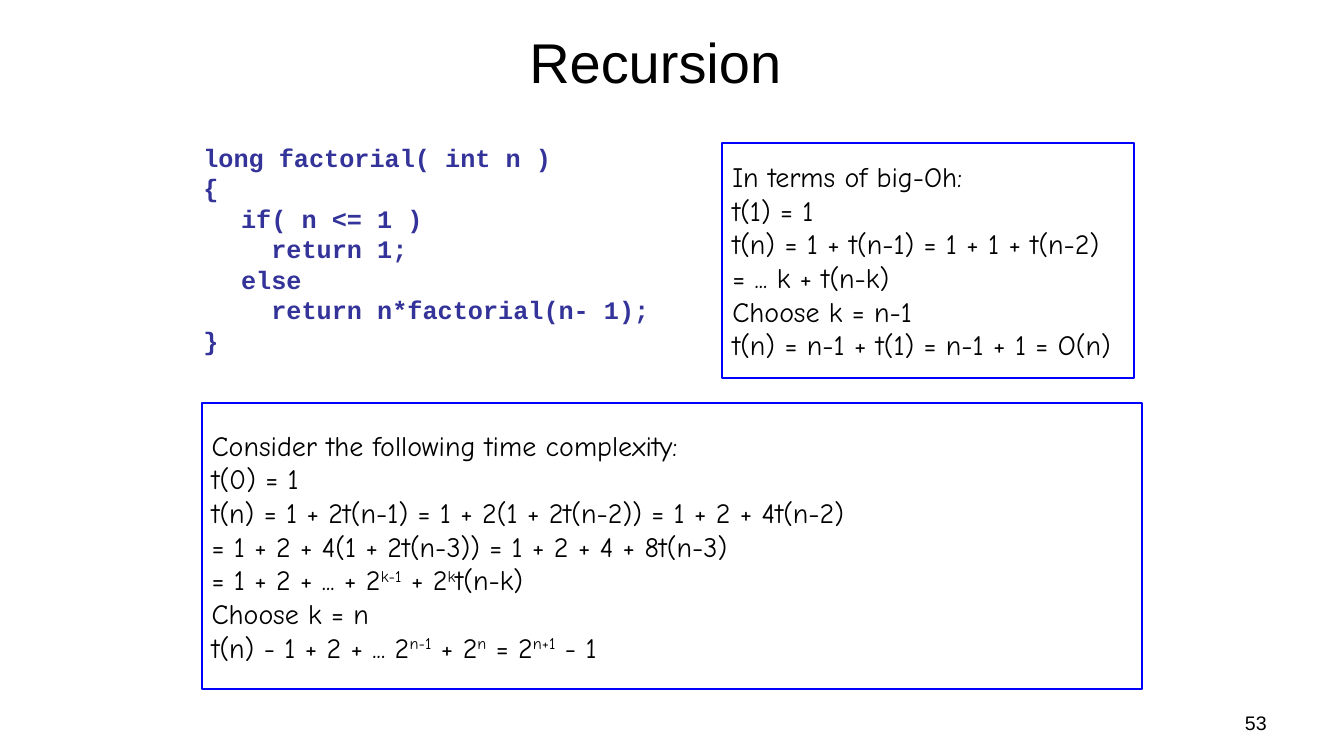
"""Build the slide on recursion and its running time."""
from dataclasses import dataclass

import pptx
import pptx.dml.color
import pptx.enum.shapes
import pptx.enum.text
import pptx.oxml
import pptx.oxml.ns
import pptx.util

Pt = pptx.util.Pt
RGB = pptx.dml.color.RGBColor
ALIGN = pptx.enum.text.PP_ALIGN
ANCHOR = pptx.enum.text.MSO_ANCHOR


@dataclass(frozen=True)
class Theme:
    """Colours, fonts and type sizes of the slide."""

    ink: RGB = RGB(0x00, 0x00, 0x00)
    code: RGB = RGB(0x33, 0x33, 0x99)
    frame: RGB = RGB(0x00, 0x00, 0xFF)
    sans: str = "Arial"
    mono: str = "Courier New"
    hand: str = "Comic Neue"
    title_size: int = 40
    code_size: int = 18
    note_size: int = 20
    number_size: int = 14
    frame_width: float = 1.5


THEME = Theme()
CODE = [
    "long factorial( int n )",
    "{",
    "\tif( n <= 1 )",
    "\t  return 1;",
    "\telse",
    "\t  return n*factorial(n- 1);",
    "}",
]
LINEAR = [
    "In terms of big-Oh:",
    "t(1) = 1",
    "t(n) = 1 + t(n-1) = 1 + 1 + t(n-2) ",
    "= ... k + t(n-k)",
    "Choose k = n-1",
    "t(n) = n-1 + t(1) = n-1 + 1 = O(n)",
]
EXPONENTIAL = [
    "Consider the following time complexity:",
    "t(0) = 1 ",
    "t(n) = 1 + 2t(n-1) = 1 + 2(1 + 2t(n-2)) = 1 + 2 + 4t(n-2)",
    "= 1 + 2 + 4(1 + 2t(n-3)) = 1 + 2 + 4 + 8t(n-3)",
    "= 1 + 2 + ... + 2^k-1^ + 2^k^t(n-k)",
    "Choose k = n",
    "t(n) - 1 + 2 + ... 2^n-1^ + 2^n^ = 2^n+1^ - 1 ",
]


def place(sp, box):
    """Move a shape to a box of left, top, width and height in points."""
    sp.left, sp.top, sp.width, sp.height = map(Pt, box)


def write(tf, lines, font, size, color, align=ALIGN.LEFT, bold=False):
    """Write one paragraph a line, raising the parts between carets."""
    tf.auto_size = pptx.enum.text.MSO_AUTO_SIZE.NONE
    for i, line in enumerate(lines):
        p = tf.paragraphs[0] if i == 0 else tf.add_paragraph()
        p.alignment = align
        p.font.name, p.font.size, p.font.bold = font, Pt(size), bold
        p.font.color.rgb = color
        for j, part in enumerate(line.split("^")):
            r = p.add_run()
            r.text = part
            if j % 2:
                r._r.get_or_add_rPr().set("baseline", "30000")


def add_title(s, box, text):
    """Fill the title placeholder."""
    sp = s.shapes.title
    place(sp, box)
    sp.text_frame.vertical_anchor = ANCHOR.MIDDLE
    write(sp.text_frame, [text], THEME.sans, THEME.title_size, THEME.ink, ALIGN.CENTER)


def add_code(s, box, lines):
    """Fill the body placeholder with unbulleted code."""
    sp = s.placeholders[1]
    place(sp, box)
    tf = sp.text_frame
    tf.vertical_anchor = ANCHOR.TOP
    write(tf, lines, THEME.mono, THEME.code_size, THEME.code, bold=True)
    for p in tf.paragraphs:
        p.line_spacing = 0.8
        p.space_before = Pt(4.5)
        pPr = p._p.get_or_add_pPr()
        pPr.set("marL", str(Pt(27)))
        pPr.set("indent", str(Pt(-27)))
        bullet = pptx.oxml.parse_xml(f"<a:buNone {pptx.oxml.ns.nsdecls('a')}/>")
        pPr.insert_element_before(bullet, "a:tabLst", "a:defRPr", "a:extLst")


def add_note(s, box, lines):
    """Add a framed derivation."""
    sp = s.shapes.add_shape(pptx.enum.shapes.MSO_SHAPE.RECTANGLE, *map(Pt, box))
    sp.shadow.inherit = False
    sp.fill.background()
    sp.line.color.rgb = THEME.frame
    sp.line.width = Pt(THEME.frame_width)
    tf = sp.text_frame
    tf.word_wrap = False
    tf.vertical_anchor = ANCHOR.MIDDLE
    write(tf, lines, THEME.hand, THEME.note_size, THEME.ink)


def add_number(s, box, text):
    """Add the page number."""
    tf = s.shapes.add_textbox(*map(Pt, box)).text_frame
    tf.word_wrap = True
    write(tf, [text], THEME.sans, THEME.number_size, THEME.ink, ALIGN.RIGHT)


def build_recursion(prs):
    """Add the recursion slide."""
    s = prs.slides.add_slide(prs.slide_layouts[1])
    add_number(s, (688, 504, 224, 25), "53")
    add_title(s, (36, 8, 864, 71), "Recursion")
    add_code(s, (138, 102, 666, 186), CODE)
    add_note(s, (516, 102, 294, 168), LINEAR)
    add_note(s, (144, 288, 672, 204), EXPONENTIAL)


prs = pptx.Presentation()
prs.slide_width, prs.slide_height = Pt(960), Pt(540)
build_recursion(prs)
prs.save("out.pptx")
